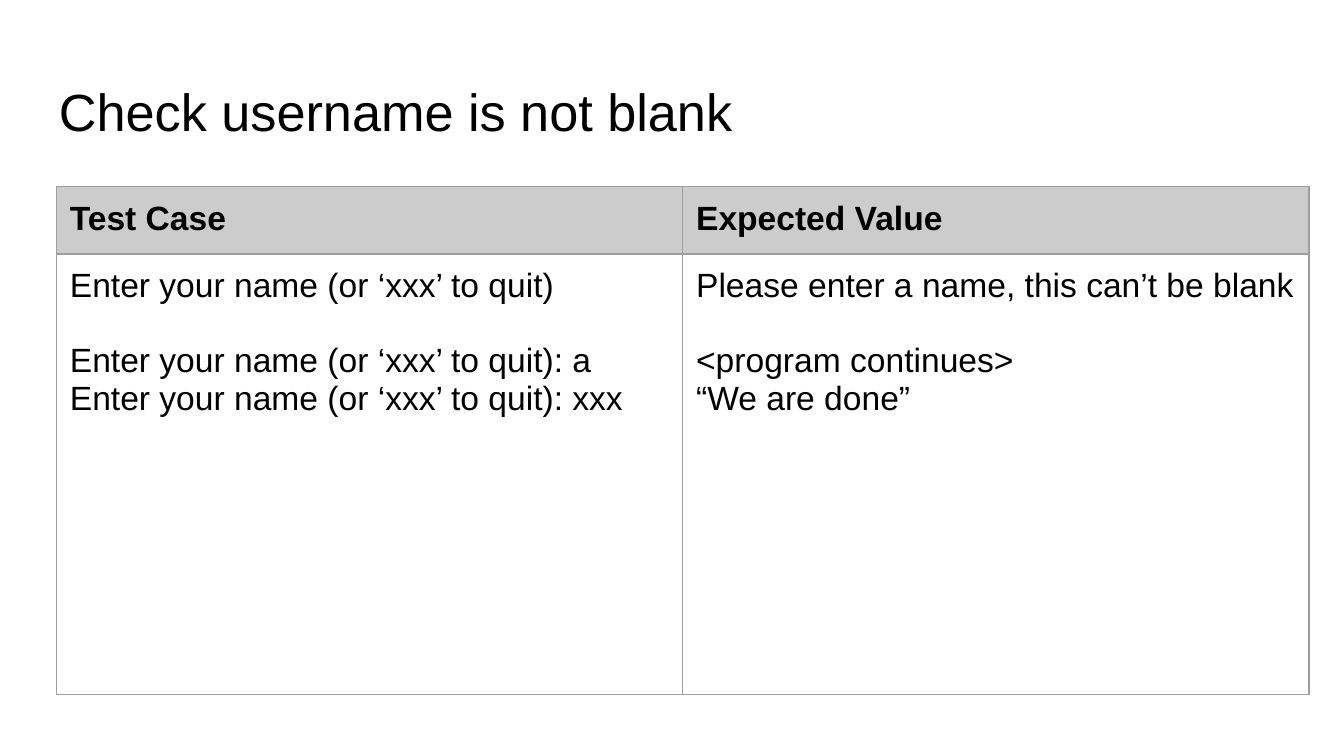
from dataclasses import dataclass

import pptx
import pptx.dml.color
import pptx.enum.text
import pptx.oxml
import pptx.oxml.ns
import pptx.util

Pt = pptx.util.Pt
RGB = pptx.dml.color.RGBColor.from_string


@dataclass(frozen=True)
class Theme:
    font: str = "Arial"
    ink: str = "000000"
    header: str = "CCCCCC"
    border: str = "9E9E9E"
    border_width: float = 0.75
    title_size: float = 28
    body_size: float = 18
    inset: float = 7.2


def write(p, text, *, theme, size, bold=False, before=0):
    """Put one formatted run into a paragraph."""
    p.space_before = Pt(before)
    r = p.add_run()
    r.text = text
    r.font.name = theme.font
    r.font.size = Pt(size)
    r.font.bold = bold
    r.font.color.rgb = RGB(theme.ink)


class SlideBuilder:
    def __init__(self, s, theme):
        self.s = s
        self.theme = theme

    def set_insets(self, frame):
        """Apply the same inset to all sides of a text frame or cell."""
        for side in ("left", "top", "right", "bottom"):
            setattr(frame, f"margin_{side}", Pt(self.theme.inset))

    def title(self, text, x, y, w, h):
        tf = self.s.shapes.add_textbox(Pt(x), Pt(y), Pt(w), Pt(h)).text_frame
        tf.word_wrap = True
        tf.vertical_anchor = pptx.enum.text.MSO_ANCHOR.TOP
        self.set_insets(tf)
        write(tf.paragraphs[0], text, theme=self.theme, size=self.theme.title_size)

    def borders(self, cell):
        tc_pr = cell._tc.get_or_add_tcPr()
        width = Pt(self.theme.border_width)
        for i, tag in enumerate(("lnL", "lnR", "lnT", "lnB")):
            tc_pr.insert(i, pptx.oxml.parse_xml(
                f'<a:{tag} {pptx.oxml.ns.nsdecls("a")} w="{width}"><a:solidFill>'
                f'<a:srgbClr val="{self.theme.border}"/></a:solidFill></a:{tag}>'))

    def cell(self, cell, lines, header):
        """Fill a cell with (text, space before) lines."""
        self.set_insets(cell)
        if header:
            cell.fill.solid()
            cell.fill.fore_color.rgb = RGB(self.theme.header)
        else:
            cell.fill.background()
        self.borders(cell)
        tf = cell.text_frame
        for i, (text, before) in enumerate(lines):
            p = tf.add_paragraph() if i else tf.paragraphs[0]
            write(p, text, theme=self.theme, size=self.theme.body_size,
                  bold=header, before=before)

    def table(self, rows, x, y, w, heights):
        cols = len(rows[0])
        table = self.s.shapes.add_table(
            len(rows), cols, Pt(x), Pt(y), Pt(w), Pt(sum(heights))).table
        table.first_row = table.horz_banding = False
        for col in table.columns:
            col.width = Pt(w / cols)
        for i, (row, height) in enumerate(zip(rows, heights)):
            table.rows[i].height = Pt(height)
            for j, lines in enumerate(row):
                self.cell(table.cell(i, j), lines, header=i == 0)


def main():
    prs = pptx.Presentation()
    prs.slide_width, prs.slide_height = Pt(720), Pt(405)
    s = prs.slides.add_slide(prs.slide_layouts[6])
    builder = SlideBuilder(s, Theme())

    # Title
    builder.title("Check username is not blank", 24.5, 35.5, 671, 45)

    # Test cases beside their expected values
    gap = 20
    prompt = "Enter your name (or ‘xxx’ to quit)"
    rows = [
        [[("Test Case", 0)], [("Expected Value", 0)]],
        [[(prompt, 0), (f"{prompt}: a", gap), (f"{prompt}: xxx", 0)],
         [("Please enter a name, this can’t be blank", 0),
          ("<program continues>", gap), ("“We are done”", 0)]],
    ]
    builder.table(rows, 30.25, 100, 671, [34.3, 236.2])

    prs.save("out.pptx")


if __name__ == "__main__":
    main()
